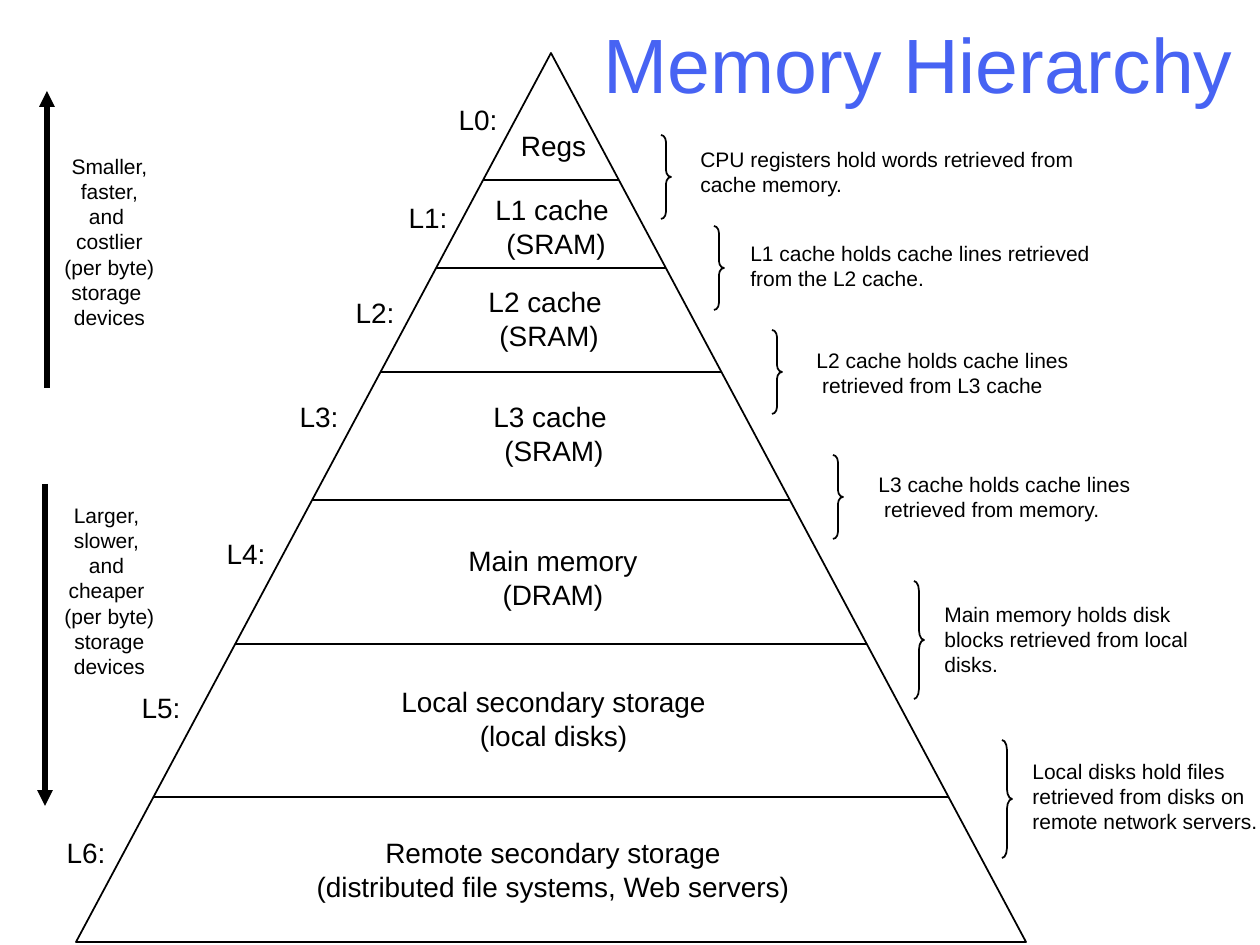
from lxml.etree import SubElement
from pptx import Presentation
from pptx.dml.color import RGBColor
from pptx.enum.shapes import MSO_CONNECTOR, MSO_SHAPE
from pptx.enum.text import MSO_ANCHOR, PP_ALIGN
from pptx.oxml.ns import qn
from pptx.util import Emu, Pt

BLACK = RGBColor(0x00, 0x00, 0x00)
TITLE_BLUE = RGBColor(0x47, 0x63, 0xF3)
FONT = "Arial"

# Pyramid geometry
APEX_X, APEX_Y = 551, 53
BASE_Y, HALF_BASE = 942, 475
DIVIDERS = [180, 268, 372, 500, 644, 797]

LEVEL_SIZE = (64, 47)
BRACE_WIDTH = 10

# Position of the level name, box of the layer text, lines of the layer text
LAYERS = [
    ((446, 96), (499, 122, 109, 47), ["Regs"]),
    ((396, 194), (483, 186, 146, 81), ["L1 cache ", "(SRAM)"]),
    ((343, 289), (476, 278, 146, 81), ["L2 cache ", "(SRAM)"]),
    ((287, 393), (481, 393, 146, 81), ["L3 cache ", "(SRAM)"]),
    ((214, 530), (446, 537, 214, 81), ["Main memory", "(DRAM)"]),
    ((129, 684), (379, 678, 349, 81), ["Local secondary storage", "(local disks)"]),
    ((54, 829), (294, 829, 518, 81),
     ["Remote secondary storage", "(distributed file systems, Web servers)"]),
]

# Brace left, top and height, box of the note, lines of the note
NOTES = [
    ((661, 135, 84), (688, 140, 402, 63),
     ["CPU registers hold words retrieved from cache memory."]),
    ((714, 226, 84), (738, 234, 391, 63),
     ["L1 cache holds cache lines retrieved from the L2 cache."]),
    ((772, 330, 84), (804, 341, 362, 63),
     ["L2 cache holds cache lines", " retrieved from L3 cache"]),
    ((833, 455, 84), (866, 465, 362, 63),
     ["L3 cache holds cache lines", " retrieved from memory."]),
    ((914, 581, 118), (932, 595, 328, 88),
     ["Main memory holds disk", "blocks retrieved from local", "disks."]),
    ((1002, 740, 118), (1020, 752, 285, 88),
     ["Local disks hold files retrieved from disks on remote network servers."]),
]

# Arrow x, start y and end y, top of the label, lines of the label
TRENDS = [
    ((47, 388, 91), 147,
     ["Smaller,", "faster,", "and ", "costlier", "(per byte)", "storage ", "devices"]),
    ((45, 484, 806), 496,
     ["Larger, ", "slower, ", "and ", "cheaper ", "(per byte)", "storage", "devices"]),
]


def px(length):
    return Emu(round(length * 914400 / 126))


def add_text(page, frame, lines, size, color=BLACK, align=PP_ALIGN.CENTER, wrap=False):
    box = page.shapes.add_textbox(*map(px, frame))
    text = box.text_frame
    text.word_wrap = wrap
    text.vertical_anchor = MSO_ANCHOR.MIDDLE
    for number, line in enumerate(lines):
        para = text.add_paragraph() if number else text.paragraphs[0]
        para.alignment = align
        span = para.add_run()
        span.text = line
        span.font.name = FONT
        span.font.size = Pt(size)
        span.font.color.rgb = color


def add_outline(page, kind, frame):
    shape = page.shapes.add_shape(kind, *map(px, frame))
    shape.shadow.inherit = False
    shape.fill.background()
    shape.line.color.rgb = BLACK
    shape.line.width = Pt(1)
    return shape


def add_line(page, start, end, width=1, arrow=False):
    line = page.shapes.add_connector(MSO_CONNECTOR.STRAIGHT, *map(px, start + end))
    line.line.color.rgb = BLACK
    line.line.width = Pt(width)
    properties = line._element.spPr
    if arrow:
        SubElement(properties.find(qn("a:ln")), qn("a:tailEnd"), type="triangle")
    SubElement(properties, qn("a:effectLst"))


def add_brace(page, left, top, height):
    brace = add_outline(page, MSO_SHAPE.RIGHT_BRACE, (left, top, BRACE_WIDTH, height))
    brace.adjustments[0] = height / 12 / BRACE_WIDTH


def add_pyramid(page):
    add_outline(page, MSO_SHAPE.ISOSCELES_TRIANGLE,
                (APEX_X - HALF_BASE, APEX_Y, 2 * HALF_BASE, BASE_Y - APEX_Y))
    for y in DIVIDERS:
        half = round(HALF_BASE * (y - APEX_Y) / (BASE_Y - APEX_Y))
        add_line(page, (APEX_X - half, y), (APEX_X + half, y))


def main():
    deck = Presentation()
    deck.slide_width, deck.slide_height = px(1260), px(945)
    page = deck.slides.add_slide(deck.slide_layouts[6])

    # Title
    add_text(page, (577, 0, 683, 126), ["Memory Hierarchy"], 44, TITLE_BLUE, wrap=True)

    # Pyramid with its layers and level names
    add_pyramid(page)
    for level, (place, frame, lines) in enumerate(LAYERS):
        add_text(page, place + LEVEL_SIZE, [f"L{level}:"], 16)
        add_text(page, frame, lines, 16)

    # Notes on what each level holds
    for brace, frame, lines in NOTES:
        add_brace(page, *brace)
        add_text(page, frame, lines, 12, align=PP_ALIGN.LEFT, wrap=True)

    # Trend arrows on the left
    for (x, start, end), top, lines in TRENDS:
        add_line(page, (x, start), (x, end), width=3, arrow=True)
        add_text(page, (52, top, 115, 189), lines, 12)

    deck.save("out.pptx")


if __name__ == "__main__":
    main()
